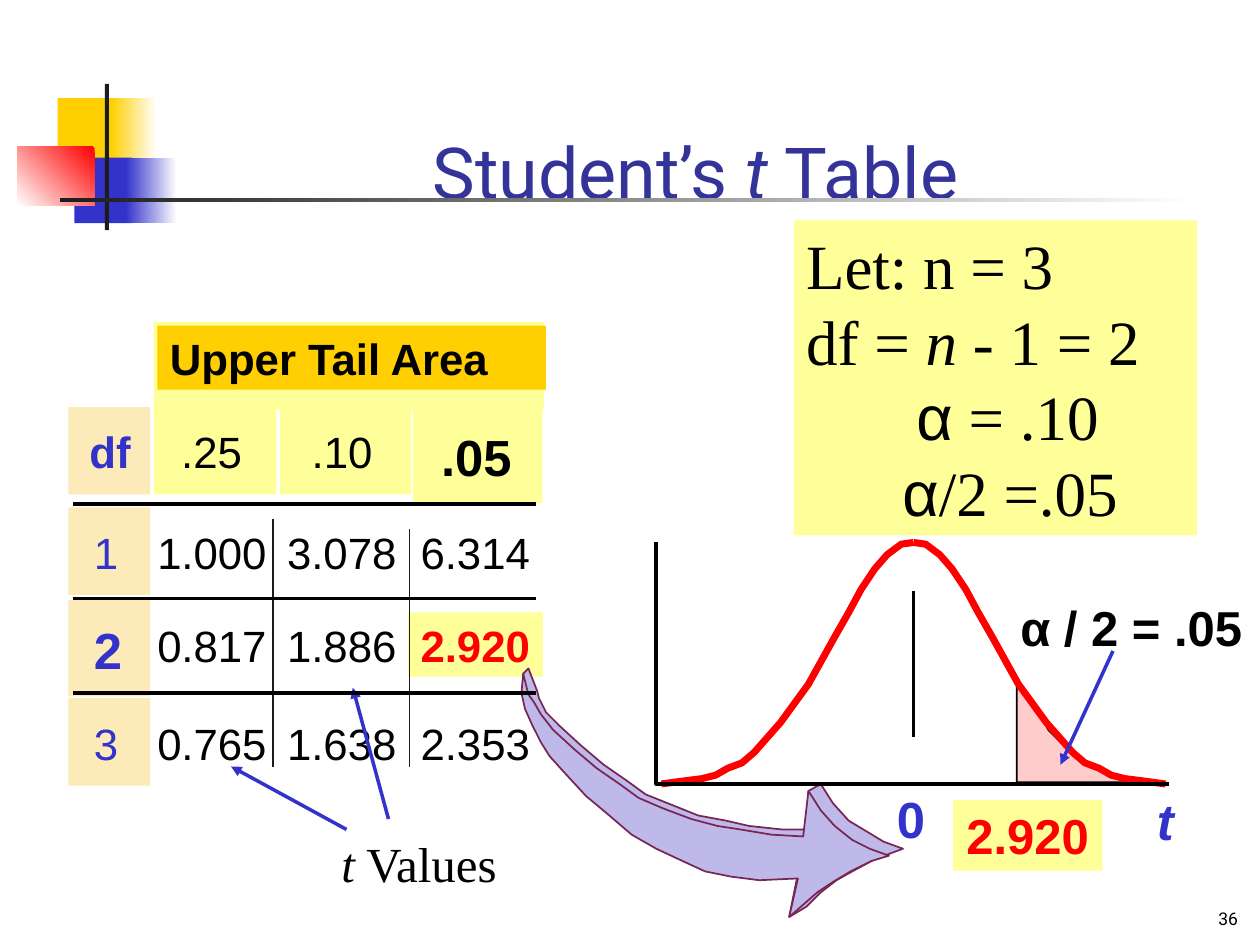
from pptx import Presentation
from pptx.dml.color import RGBColor
from pptx.enum.shapes import MSO_CONNECTOR as LINK, MSO_SHAPE as SHAPE
from pptx.enum.text import MSO_ANCHOR as ANCHOR, MSO_AUTO_SIZE as FIT, PP_ALIGN as ALIGN
from pptx.oxml.ns import qn
from pptx.util import Pt
from lxml import etree

BLACK = RGBColor(0, 0, 0)
WHITE = RGBColor(0xFF, 0xFF, 0xFF)
DARK = RGBColor(0x1C, 0x1C, 0x1C)
GOLD = RGBColor(0xFF, 0xCF, 0x01)
BLUE = RGBColor(0x33, 0x33, 0xCC)
NAVY = RGBColor(0x33, 0x33, 0x99)
RED = RGBColor(0xFF, 0, 0)
PINK = RGBColor(0xFF, 0xCC, 0xCC)
LEMON = RGBColor(0xFF, 0xFF, 0x99)
CREAM = RGBColor(0xFD, 0xEA, 0xB9)
LILAC = RGBColor(0xBF, 0xB9, 0xE9)
PLUM = RGBColor(0x77, 0x26, 0x55)

prs = Presentation()
prs.slide_width, prs.slide_height = Pt(720), Pt(540)
slide = prs.slides.add_slide(prs.slide_layouts[5])
shapes = slide.shapes


def put(place, text="", size=25, color=BLACK, bold=False, fill=None, font="Arial"):
    """Add a box; words between asterisks are italic, each line is a paragraph."""
    place = [Pt(n) for n in place]
    if fill is None:
        box = shapes.add_textbox(*place)
    else:
        box = shapes.add_shape(SHAPE.RECTANGLE, *place)
        box.shadow.inherit = False
        box.fill.solid()
        box.fill.fore_color.rgb = fill
        box.line.fill.background()
    frame = box.text_frame
    frame.word_wrap = False
    frame.vertical_anchor = ANCHOR.TOP
    lines = text.split("\n") if text else []
    for i, line in enumerate(lines):
        para = frame.add_paragraph() if i else frame.paragraphs[0]
        para.alignment = ALIGN.LEFT
        for j, part in enumerate(line.split("*")):
            if part:
                run = para.add_run()
                run.text = part
                run.font.name, run.font.size = font, Pt(size)
                run.font.bold, run.font.italic = bold, j % 2 == 1
                run.font.color.rgb = color
    return box


def draw(start, end, color=BLACK, width=2, head=False):
    """Add a straight line, with an arrowhead at its start if asked."""
    link = shapes.add_connector(LINK.STRAIGHT, *[Pt(n) for n in start + end])
    link.line.color.rgb = color
    link.line.width = Pt(width)
    if head:
        etree.SubElement(link.line._get_or_add_ln(), qn("a:headEnd"), type="triangle")
    etree.SubElement(link._element.spPr, qn("a:effectLst"))


# Corner ornament and title rule: place, colours from first to last, angle
for place, tints, angle in [
    ((33, 56, 34.5, 37.5), [GOLD], 0),
    ((63.5, 56, 26, 37.5), [WHITE, GOLD], 180),
    ((42.5, 90, 33, 37.5), [BLUE], 0),
    ((72, 90, 29, 37.5), [WHITE, BLUE], 180),
    ((10, 84, 44, 33.5), [RED, WHITE], 225),
    ((60, 48, 2.2, 83.5), [DARK], 0),
    ((34.5, 113, 648, 2.2), [WHITE, DARK], 180),
]:
    block = put(place, fill=tints[0])
    if len(tints) == 2:
        block.fill.gradient()
        block.fill.gradient_angle = angle
        for stop, tint in zip(block.fill.gradient_stops, tints):
            stop.color.rgb = tint

# Title
title = shapes.title
title.left, title.top, title.width, title.height = Pt(91), Pt(18), Pt(613), Pt(108)
frame = title.text_frame
frame.auto_size = FIT.NONE
frame.vertical_anchor = ANCHOR.BOTTOM
para = frame.paragraphs[0]
para.alignment = ALIGN.CENTER
for text in ("Student’s ", "t", " Table"):
    run = para.add_run()
    run.text = text
    run.font.name, run.font.size = "Roboto", Pt(41)
    run.font.color.rgb = NAVY
    run.font.italic = text == "t"

# Table header
put((88, 184, 223, 50), fill=LEMON)
put((90, 186, 222, 36.7), "Upper Tail Area", bold=True, fill=GOLD)
for x, w, h, fill in [(39, 46.8, 50, CREAM), (88, 70, 50, LEMON),
                      (160, 75, 50, LEMON), (236, 74, 55, LEMON)]:
    put((x, 232.6, w, h), fill=fill)
put((44, 239, 38, 36.7), "df", color=BLUE, bold=True)
put((96.5, 239, 53, 36.7), ".25")
put((171, 239, 57, 36.7), ".10")
put((245, 240, 55, 41.8), ".05", 29, bold=True)

# Table rows: top, height, df, values
for top, high, df, vals in [
    (290, 50, "1", ("1.000", "3.078", "6.314")),
    (343, 55, "2", ("0.817", "1.886", "2.920")),
    (399, 50, "3", ("0.765", "1.638", "2.353")),
]:
    key = df == "2"
    put((39, top, 46.8, high), fill=CREAM)
    put((46.5, top + 7, 29, 40), df, 29 if key else 25, BLUE, key)
    for x, val in zip((82.8, 157, 233.3), vals):
        hit = val == "2.920"
        put((x, top + 7, 77, 36.7), val, color=RED if hit else BLACK,
            bold=hit, fill=LEMON if hit else None)

# Bell curve: distance from the mean, height on the slide
MEAN = 522
BELL = [(144, 448), (129, 446.4), (121, 445), (113, 443), (106, 439), (98, 435.6),
        (91, 430), (75.6, 413), (60.5, 391), (45.4, 363.6), (37.4, 350),
        (30.2, 337), (22.3, 325.4), (15.1, 317), (7.2, 311), (0, 309.6)]
TAIL = [(581, 389.5), (588, 400), (595.5, 411), (599, 417), (608, 425.5), (611, 429),
        (617, 435), (621, 436), (628, 440), (635, 443.5), (646, 447), (581, 447)]
AXES = [(375, 309.6), (375, 448), (668, 448)]

# Curved block arrow: shaded back, then front
BACK = [(302, 382), (299, 385), (300, 394), (303, 404), (307, 413), (312, 422), (317, 431),
        (325, 441), (338, 454), (350, 464), (364, 474), (378, 482), (393, 490), (408, 495),
        (423, 499), (439, 500), (456, 499), (451, 524), (461, 518), (469, 510), (478, 503),
        (487, 498), (500, 491), (516, 485), (505, 481), (495, 475), (485, 469), (476, 459),
        (469, 448), (462, 452), (461, 474), (447, 474), (428, 472), (415, 469), (399, 466),
        (384, 460), (369, 454), (358, 446), (345, 437), (332, 426), (320, 415), (312, 407),
        (308, 399), (307, 395)]
FRONT = [(299, 385), (298, 396), (300, 405), (304, 414), (309, 424), (314, 432), (323, 442),
         (335, 455), (347, 465), (361, 477), (375, 485), (390, 492), (403, 498), (418, 501),
         (434, 503), (456, 502), (451, 524), (459, 517), (467, 510), (476, 504), (486, 498),
         (498, 492), (508, 489), (497, 485), (487, 480), (477, 472), (469, 463), (462, 452),
         (459, 478), (441, 477), (423, 474), (410, 472), (395, 468), (379, 462), (365, 456),
         (354, 448), (341, 439), (328, 428), (316, 417), (309, 408), (305, 401), (302, 397)]

draw((MEAN, 337.7), (MEAN, 421))
group = shapes.add_group_shape()
for home, dots, fill, color, width in [
    (shapes, TAIL, PINK, BLACK, 1),
    (shapes, [(MEAN + dx, y) for dx, y in BELL], None, RED, 4),
    (shapes, [(MEAN - dx, y) for dx, y in BELL], None, RED, 4),
    (shapes, AXES, None, BLACK, 2),
    (group.shapes, BACK, LILAC, PLUM, 1),
    (group.shapes, FRONT, LILAC, PLUM, 1),
]:
    pen = home.build_freeform(*dots[0], scale=Pt(1))
    pen.add_line_segments(dots[1:], close=fill is not None)
    form = pen.convert_to_shape()
    form.shadow.inherit = False
    if fill is None:
        form.fill.background()
    else:
        form.fill.solid()
        form.fill.fore_color.rgb = fill
    form.line.color.rgb = color
    form.line.width = Pt(width)

# Labels
put((654, 448, 24, 41.8), "*t*", 29, BLUE, True)
put((505.5, 446.5, 30, 41.8), "0", 29, BLUE, True)
mark = put((544.5, 457, 85.5, 40.5), "2.920", 28, RED, True, LEMON)
mark.text_frame.paragraphs[0].alignment = ALIGN.CENTER
put((188, 472.5, 176, 40.5), "*t* Values", 28, font="Times New Roman").text_frame.word_wrap = True
put((576, 337.7, 144, 40.5), "α / 2 = .05", 28, bold=True).text_frame.word_wrap = True

# Worked values, with the two alpha lines indented
note = put((453.6, 126, 230.4, 180), "Let: n = 3\ndf = *n* - 1 = 2\n*α* = .10\n*α*/2 =.05",
           36, fill=LEMON, font="Times New Roman")
note.text_frame.word_wrap = True
for para, inset in zip(note.text_frame.paragraphs, (0, 0, 63, 55)):
    para.line_spacing = Pt(43.2)
    if inset:
        para._p.get_or_add_pPr().set("marL", str(Pt(inset)))
    for run in para.runs:
        if run.text == "α":
            run.font.name, run.font.italic = "Arial", False

# Pointers and table rules
draw((201.6, 393), (222, 468), BLUE, head=True)
draw((132, 438), (198, 474), BLUE, head=True)
draw((606, 437), (636, 372), BLUE, head=True)
draw((156, 296.6), (156, 438.5), DARK, 1)
draw((234, 302.4), (234, 438.5), DARK, 1)
for y in (288, 342, 396):
    draw((42, y), (306, y), width=2.25)

# Slide number
page = put((564.5, 497.5, 150, 36.7), "36", 10, font="Roboto").text_frame
page.word_wrap = True
page.vertical_anchor = ANCHOR.BOTTOM
page.paragraphs[0].alignment = ALIGN.RIGHT

prs.save("out.pptx")
